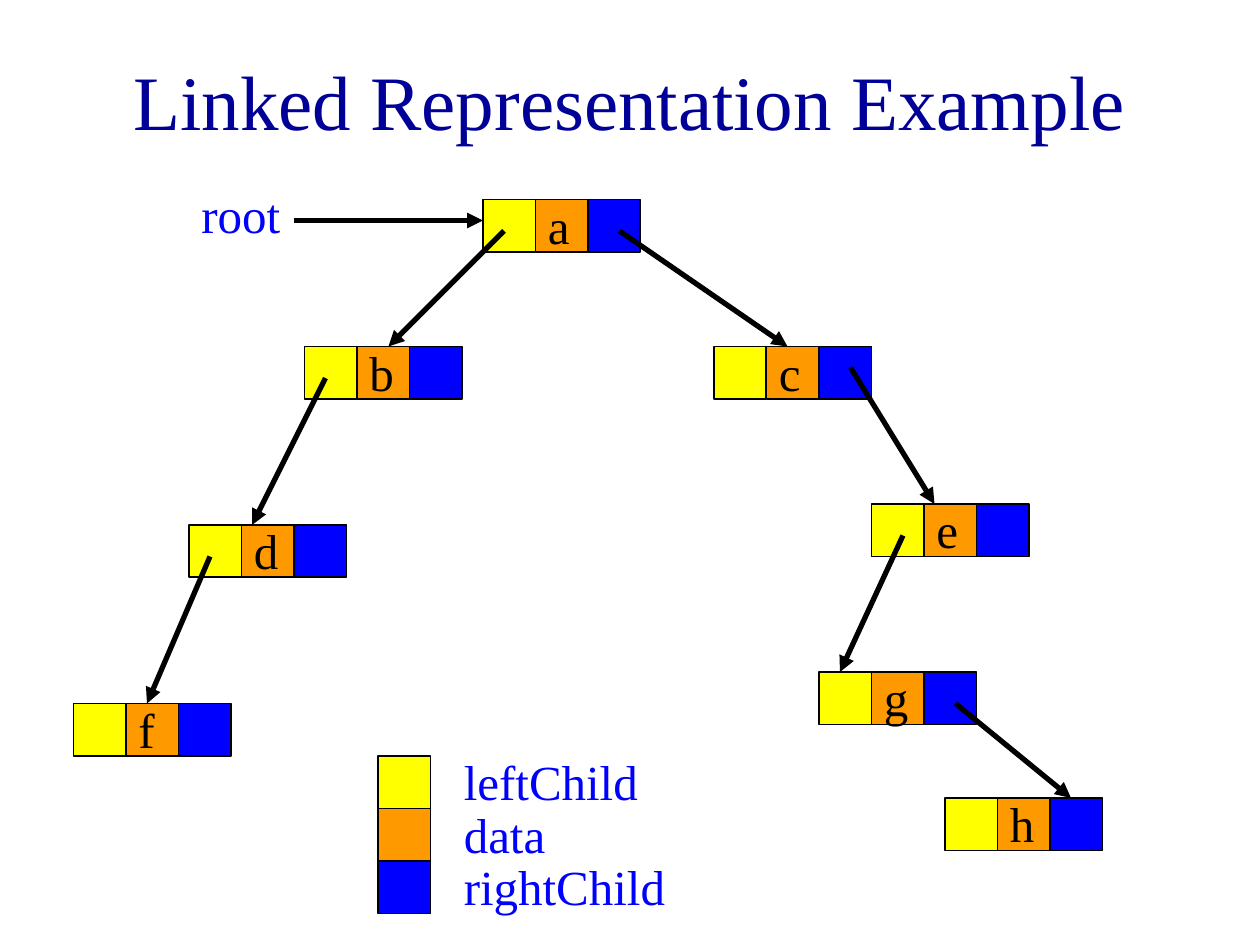
import pptx
import pptx.util
import pptx.dml.color
import pptx.enum.shapes
import pptx.enum.text
import pptx.oxml.ns
import lxml.etree

COLORS = {"title": "000099", "label": "0000FF", "ink": "000000",
          "left": "FFFF00", "data": "FF9900", "right": "0000FF"}
FIELDS = {"left": "leftChild", "data": "data", "right": "rightChild"}
CELL = 5
TEXT_HEIGHT = 6.8

NODES = {"a": (46, 19), "c": (68, 33), "b": (29, 33), "d": (18, 50),
         "f": (7, 67), "e": (83, 48), "g": (78, 64), "h": (90, 76)}
LINKS = [("a", (2, 3), "b", 8), ("a", (13, 3), "c", 7),
         ("b", (2, 3), "d", 6), ("d", (2, 3), "f", 7),
         ("c", (13, 2), "e", 6), ("e", (3, 3), "g", 2),
         ("g", (13, 3), "h", 12)]


def color(name):
    return pptx.dml.color.RGBColor.from_string(COLORS[name])


def grid(units):
    return pptx.util.Inches(units / 12)


def write_text(frame, text, size=28, ink="ink", font="Times New Roman",
               align=pptx.enum.text.PP_ALIGN.LEFT,
               anchor=pptx.enum.text.MSO_ANCHOR.TOP):
    frame.word_wrap = True
    frame.vertical_anchor = anchor
    paragraph = frame.paragraphs[0]
    paragraph.alignment = align
    run = paragraph.add_run()
    run.text = text
    run.font.size = pptx.util.Pt(size)
    run.font.name = font
    run.font.color.rgb = color(ink)


class TreeSlide:
    def __init__(self, slide):
        self.slide = slide
        self.shapes = slide.shapes

    def text(self, column, row, width, text, height=TEXT_HEIGHT, **style):
        box = self.shapes.add_textbox(*map(grid, (column, row, width, height)))
        write_text(box.text_frame, text, **style)

    def cell(self, column, row, fill):
        shape = self.shapes.add_shape(
            pptx.enum.shapes.MSO_SHAPE.RECTANGLE,
            *map(grid, (column, row, CELL, CELL)))
        shape.shadow.inherit = False
        shape.fill.solid()
        shape.fill.fore_color.rgb = color(fill)
        shape.line.color.rgb = color("ink")
        shape.line.width = pptx.util.Pt(1)

    def node(self, name, column, row):
        for index, field in enumerate(FIELDS):
            self.cell(column + index * CELL, row, field)
        self.text(column + CELL, row - 1, CELL, name)

    def arrow(self, start, end):
        connector = self.shapes.add_connector(
            pptx.enum.shapes.MSO_CONNECTOR.STRAIGHT, *map(grid, start + end))
        connector.line.color.rgb = color("ink")
        connector.line.width = pptx.util.Pt(3)
        lxml.etree.SubElement(connector.line._get_or_add_ln(),
                              pptx.oxml.ns.qn("a:tailEnd"), type="triangle")
        lxml.etree.SubElement(connector._element.spPr,
                              pptx.oxml.ns.qn("a:effectLst"))

    def legend(self, column, row):
        for index, (field, label) in enumerate(FIELDS.items()):
            top = row + index * CELL
            self.cell(column, top, field)
            self.text(column + 7, top - 1, 35, label, ink="label")


presentation = pptx.Presentation()
presentation.slide_width = pptx.util.Inches(10)
presentation.slide_height = pptx.util.Inches(7.5)
tree = TreeSlide(presentation.slides.add_slide(presentation.slide_layouts[6]))

tree.text(9, 2, 102, "Linked Representation Example", height=15, size=44,
          ink="title", align=pptx.enum.text.PP_ALIGN.CENTER,
          anchor=pptx.enum.text.MSO_ANCHOR.MIDDLE)
for name, (column, row) in NODES.items():
    tree.node(name, column, row)
for parent, (across, down), child, target in LINKS:
    column, row = NODES[parent]
    child_column, child_row = NODES[child]
    tree.arrow((column + across, row + down), (child_column + target, child_row))
tree.legend(36, 72)
tree.text(18, 17, 12, "root", ink="label")
tree.arrow((28, 21), (46, 21))

presentation.save("out.pptx")
